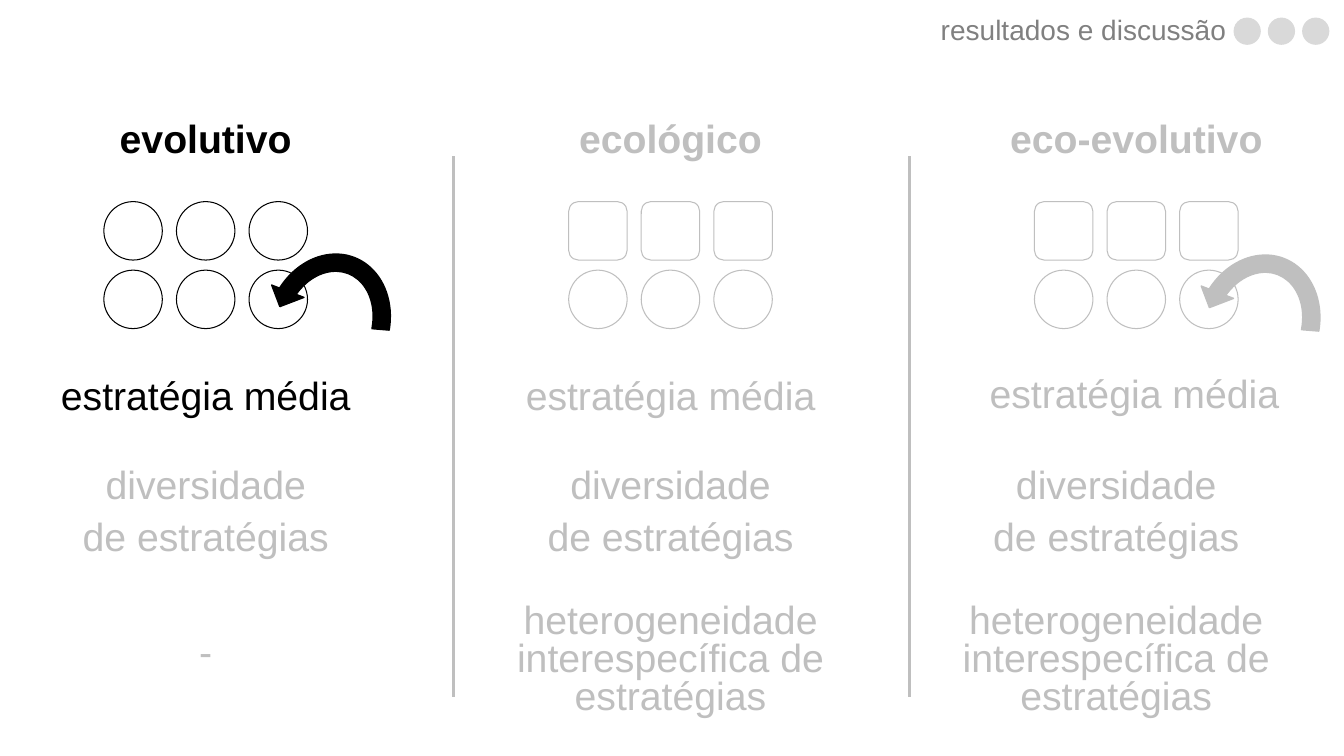
from lxml import etree
from pptx import Presentation
from pptx.dml.color import RGBColor
from pptx.enum.shapes import MSO_CONNECTOR, MSO_SHAPE
from pptx.enum.text import MSO_ANCHOR, PP_ALIGN
from pptx.oxml.ns import qn
from pptx.util import Inches, Pt

# Content
BLACK, GREY, LIGHT, DARK = "000000", "BFBFBF", "D9D9D9", "808080"
HEADER = "resultados e discussão"
AVERAGE = "estratégia média"
DIVERSITY = ["diversidade", "de estratégias"]
HETEROGENEITY = "heterogeneidade interespecífica de estratégias"
CIRCLE, SQUARE = MSO_SHAPE.OVAL, MSO_SHAPE.ROUNDED_RECTANGLE

# center: title and icons; lower: the two bottom texts; arrow: left, top
COLUMNS = [
    {"title": "evolutivo", "color": BLACK, "center": 2.04, "icons": (CIRCLE, CIRCLE),
     "arrow": (2.57, 2.42), "average": (2.04, 3.69), "lower": 2.04, "last": "-"},
    {"title": "ecológico", "color": GREY, "center": 6.65, "icons": (SQUARE, CIRCLE),
     "arrow": None, "average": (6.65, 3.69), "lower": 6.65, "last": HETEROGENEITY},
    {"title": "eco-evolutivo", "color": GREY, "center": 11.27, "icons": (SQUARE, CIRCLE),
     "arrow": (11.79, 2.43), "average": (11.25, 3.67), "lower": 11.07, "last": HETEROGENEITY},
]

# Layout in inches
ICON_SIZE, ICON_STEP, ROW_STEP, ICON_TOP = 0.58, 0.72, 0.68, 2.0
DIVIDERS, DIVIDER_TOP, DIVIDER_BOTTOM = (4.5, 9.02), 1.55, 6.91
DOT_LEFT, DOT_TOP, DOT_SIZE, DOT_STEP = 12.24, 0.18, 0.26, 0.34
ARROW_ADJUSTMENTS = (0.125, 11.423, 204.577, 117.73, 0.125)


def rgb(color):
    return RGBColor.from_string(color)


def add_text(shapes, lines, left, top, width, height, color, size=28, bold=False,
             spacing=0.9, align=PP_ALIGN.CENTER, anchor=MSO_ANCHOR.TOP):
    box = shapes.add_textbox(Inches(left), Inches(top), Inches(width), Inches(height))
    frame = box.text_frame
    frame.word_wrap = True
    frame.vertical_anchor = anchor
    frame.text = "\n".join(lines)
    for index, paragraph in enumerate(frame.paragraphs):
        paragraph.alignment = align
        paragraph.line_spacing = spacing
        if index:
            paragraph.space_before = Pt(10)
        for run in paragraph.runs:
            run.font.name = "Arial"
            run.font.size = Pt(size)
            run.font.bold = bold
            run.font.color.rgb = rgb(color)


def add_figure(shapes, kind, left, top, width, height, line, fill=None, weight=0):
    shape = shapes.add_shape(kind, Inches(left), Inches(top), Inches(width), Inches(height))
    shape.shadow.inherit = False
    if fill:
        shape.fill.solid()
        shape.fill.fore_color.rgb = rgb(fill)
    else:
        shape.fill.background()
    shape.line.color.rgb = rgb(line)
    shape.line.width = Pt(weight)
    return shape


def add_curved_arrow(shapes, left, top, color):
    arrow = add_figure(shapes, MSO_SHAPE.CIRCULAR_ARROW, left, top, 1.37, 1.61, color, color, 1)
    for index, value in enumerate(ARROW_ADJUSTMENTS):
        arrow.adjustments[index] = value
    arrow.rotation = 200.9
    arrow._element.spPr.find(qn("a:xfrm")).set("flipV", "1")


def add_divider(shapes, x):
    line = shapes.add_connector(MSO_CONNECTOR.STRAIGHT, Inches(x), Inches(DIVIDER_TOP),
                                Inches(x), Inches(DIVIDER_BOTTOM))
    line.line.color.rgb = rgb(GREY)
    line.line.width = Pt(2.25)
    etree.SubElement(line._element.spPr, qn("a:effectLst"))


def add_column(shapes, column):
    color, center, lower = column["color"], column["center"], column["lower"]
    add_text(shapes, [column["title"]], center - 1.385, 0.67, 2.77, 1.45, color,
             bold=True, anchor=MSO_ANCHOR.MIDDLE)

    # Two rows of three icons
    for row, kind in enumerate(column["icons"]):
        for position in (-1, 0, 1):
            add_figure(shapes, kind, center + position * ICON_STEP - ICON_SIZE / 2,
                       ICON_TOP + row * ROW_STEP, ICON_SIZE, ICON_SIZE, color)
    if column["arrow"]:
        add_curved_arrow(shapes, *column["arrow"], color)

    # Measures below the icons
    average_center, average_top = column["average"]
    add_text(shapes, [AVERAGE], average_center - 1.755, average_top, 3.51, 0.85, color)
    add_text(shapes, DIVERSITY, lower - 2.54, 4.61, 5.08, 1.04, GREY, spacing=0.8)
    if column["last"] == HETEROGENEITY:
        add_text(shapes, [HETEROGENEITY], lower - 2.38, 5.95, 4.76, 1.33, GREY, spacing=0.8)
    else:
        add_text(shapes, [column["last"]], lower - 1.755, 6.23, 3.51, 0.85, GREY)


def main():
    presentation = Presentation()
    presentation.slide_width = Inches(13.33)
    presentation.slide_height = Inches(7.5)
    slide = presentation.slides.add_slide(presentation.slide_layouts[6])

    for column in COLUMNS:
        add_column(slide.shapes, column)
    for x in DIVIDERS:
        add_divider(slide.shapes, x)

    # Section header with three dots
    header = slide.shapes.add_group_shape().shapes
    add_text(header, [HEADER], 7.78, 0.08, 4.48, 0.47, DARK, size=20,
             align=PP_ALIGN.RIGHT, anchor=MSO_ANCHOR.MIDDLE)
    for index in range(3):
        add_figure(header, CIRCLE, DOT_LEFT + index * DOT_STEP, DOT_TOP,
                   DOT_SIZE, DOT_SIZE, LIGHT, LIGHT)

    presentation.save("out.pptx")


if __name__ == "__main__":
    main()
